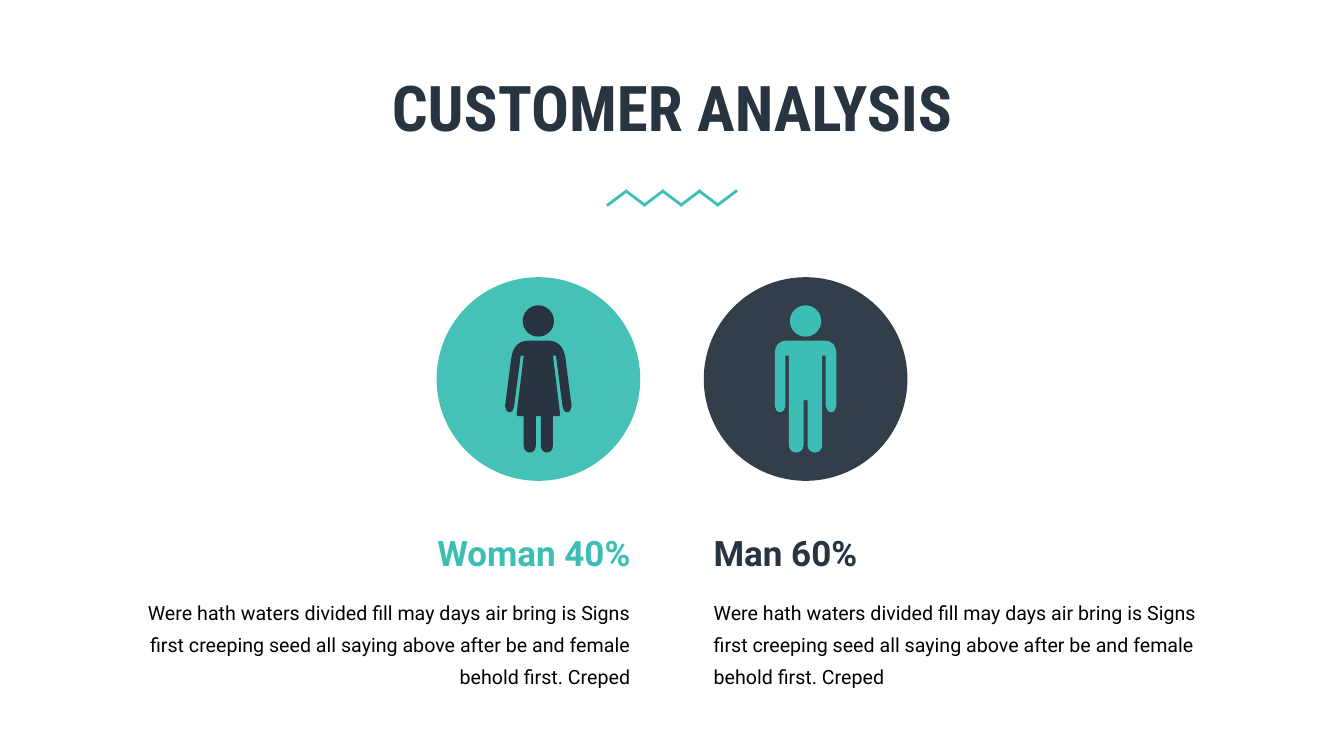
from dataclasses import dataclass

from lxml import etree
from pptx import Presentation, util as u
from pptx.dml.color import RGBColor
from pptx.enum import shapes, text
from pptx.oxml.ns import qn

# Content: side -1 stands left of the centre line, side 1 right of it
TITLE = "CUSTOMER ANALYSIS"
STORY = ("Were hath waters divided fill may days air bring is Signs first creeping "
         "seed all saying above after be and female behold first. Creped")

# Right halves of outlines in hundredths of an inch from the axis and head top:
# pairs are straight corners, sixes are Bezier curves
HEAD = [(0, 0), (8.6, 0, 15.5, 6.9, 15.5, 15.5), (15.5, 24.1, 8.6, 31, 0, 31)]
WOMAN = [(9, 35), (18, 35, 25, 39, 27, 53), (33, 100),
         (33, 103, 31, 106, 28.5, 106), (26, 106, 24, 103, 24, 100),
         (17.5, 50), (14.5, 50), (21.5, 107), (22, 110, 21, 110, 19, 110),
         (14.5, 110), (14.5, 139), (14.5, 143, 12, 146, 8.5, 146),
         (5, 146, 2.5, 143, 2.5, 139), (2.5, 110)]
MAN = [(18, 35), (27, 35, 30.5, 40, 30.5, 48), (30.5, 100),
       (30.5, 103, 28, 106, 25.5, 106), (22.5, 106, 20, 103, 20, 100),
       (20, 50), (16.5, 50), (16.5, 139), (16.5, 143, 13, 146, 9.5, 146),
       (5.5, 146, 2, 143, 2, 139), (2, 94)]


@dataclass(frozen=True)
class Theme:
    teal: str = "3CBEB4"
    navy: str = "283440"
    black: str = "000000"
    heading_font: str = "Roboto Condensed"
    body_font: str = "Roboto"
    title_size: int = 45
    label_size: int = 25
    story_size: int = 14
    story_leading: float = 22.8
    circle_opacity: int = 95


THEME = Theme()
CUSTOMERS = [
    dict(side=1, label="Man 60%", colour=THEME.navy, icon=THEME.teal, body=MAN),
    dict(side=-1, label="Woman 40%", colour=THEME.teal, icon=THEME.navy, body=WOMAN),
]

# Layout in inches
WIDTH, HEIGHT = 13.33, 7.5
CENTRE = WIDTH / 2
GUTTER = 0.63
CIRCLE_TOP, CIRCLE_SIZE = 2.75, 2.02
FIGURE_TOP = 3.03
LABEL_BOX = (5.22, 2.76, 0.52)
STORY_BOX = (5.83, 5.25, 1.04)
ZIGZAG_LINES, ZIGZAG_WIDTH, ZIGZAG_RUN = 7, 1.29, 0.2
ZIGZAG_LOW, ZIGZAG_HIGH = 2.04, 1.89

presentation = Presentation()
presentation.slide_width, presentation.slide_height = u.Inches(WIDTH), u.Inches(HEIGHT)
slide = presentation.slides.add_slide(presentation.slide_layouts[6])


def column_left(side, width):
    """Left edge of an item that touches the gutter on its side."""
    return CENTRE + GUTTER / 2 if side > 0 else CENTRE - GUTTER / 2 - width


def add_text(words, left, top, width, height, align, font, size, colour,
             bold=False, leading=None):
    box = slide.shapes.add_textbox(*map(u.Inches, (left, top, width, height)))
    frame = box.text_frame
    frame.word_wrap = True
    frame.auto_size = text.MSO_AUTO_SIZE.SHAPE_TO_FIT_TEXT
    paragraph = frame.paragraphs[0]
    paragraph.alignment = align
    if leading:
        paragraph.line_spacing = u.Pt(leading)
    run = paragraph.add_run()
    run.text = words
    run.font.name, run.font.size, run.font.bold = font, u.Pt(size), bold
    run.font.color.rgb = RGBColor.from_string(colour)


def paint(shape, colour, opacity=100):
    shape.shadow.inherit = False
    shape.fill.solid()
    shape.fill.fore_color.rgb = RGBColor.from_string(colour)
    shape.line.fill.background()
    if opacity < 100:
        tint = shape._element.spPr.find(".//" + qn("a:srgbClr"))
        etree.SubElement(tint, qn("a:alpha")).set("val", str(opacity * 1000))


def mirrored(half):
    """Whole outline as points, with the number of points in each segment."""
    points = [part[i:i + 2] for part in half for i in range(0, len(part), 2)]
    lengths = [len(part) // 2 for part in half[1:]]
    whole = points + [(-x, y) for x, y in reversed(points)]
    return whole, lengths + [1] + lengths[::-1]


def add_figure(axis, body, colour):
    builder, segments = None, []
    for half in (HEAD, body):
        points, lengths = mirrored(half)
        points = [(u.Inches(axis + x / 100), u.Inches(FIGURE_TOP + y / 100))
                  for x, y in points]
        if builder is None:
            builder = slide.shapes.build_freeform(*points[0])
        else:
            builder.move_to(*points[0])
        builder.add_line_segments(points[1:], close=True)
        segments += lengths
    figure = builder.convert_to_shape()
    # Join each three-point segment into one Bezier curve
    lines = iter(list(figure._element.iter(qn("a:lnTo"))))
    for length in segments:
        segment = next(lines)
        if length == 3:
            segment.tag = qn("a:cubicBezTo")
            for _ in range(2):
                extra = next(lines)
                segment.append(extra[0])
                extra.getparent().remove(extra)
    paint(figure, colour)


# Title
add_text(TITLE, 0, 0.63, WIDTH, 0.86, text.PP_ALIGN.CENTER, THEME.heading_font,
         THEME.title_size, THEME.navy, bold=True)

# Labels and stories
for customer in reversed(CUSTOMERS):
    side = customer["side"]
    align = text.PP_ALIGN.LEFT if side > 0 else text.PP_ALIGN.RIGHT
    top, width, height = LABEL_BOX
    add_text(customer["label"], column_left(side, width), top, width, height, align,
             THEME.body_font, THEME.label_size, customer["colour"], bold=True)
    top, width, height = STORY_BOX
    add_text(STORY, column_left(side, width), top, width, height, align,
             THEME.body_font, THEME.story_size, THEME.black,
             leading=THEME.story_leading)

# Circles
for customer in CUSTOMERS:
    circle = slide.shapes.add_shape(
        shapes.MSO_SHAPE.OVAL,
        *map(u.Inches, (column_left(customer["side"], CIRCLE_SIZE), CIRCLE_TOP,
                        CIRCLE_SIZE, CIRCLE_SIZE)))
    paint(circle, customer["colour"], THEME.circle_opacity)

# Zigzag divider
zigzag_step = (ZIGZAG_WIDTH - ZIGZAG_RUN) / (ZIGZAG_LINES - 1)
for index in range(ZIGZAG_LINES):
    start = CENTRE - ZIGZAG_WIDTH / 2 + index * zigzag_step
    rise = (ZIGZAG_LOW, ZIGZAG_HIGH)
    begin_y, end_y = rise if index % 2 == 0 else rise[::-1]
    line = slide.shapes.add_connector(
        shapes.MSO_CONNECTOR.STRAIGHT,
        *map(u.Inches, (start, begin_y, start + ZIGZAG_RUN, end_y)))
    line.line.color.rgb = RGBColor.from_string(THEME.teal)
    line.line.width = u.Pt(2)
    etree.SubElement(line._element.spPr, qn("a:effectLst"))

# Figures
for customer in reversed(CUSTOMERS):
    axis = column_left(customer["side"], CIRCLE_SIZE) + CIRCLE_SIZE / 2
    add_figure(axis, customer["body"], customer["icon"])

presentation.save("out.pptx")
